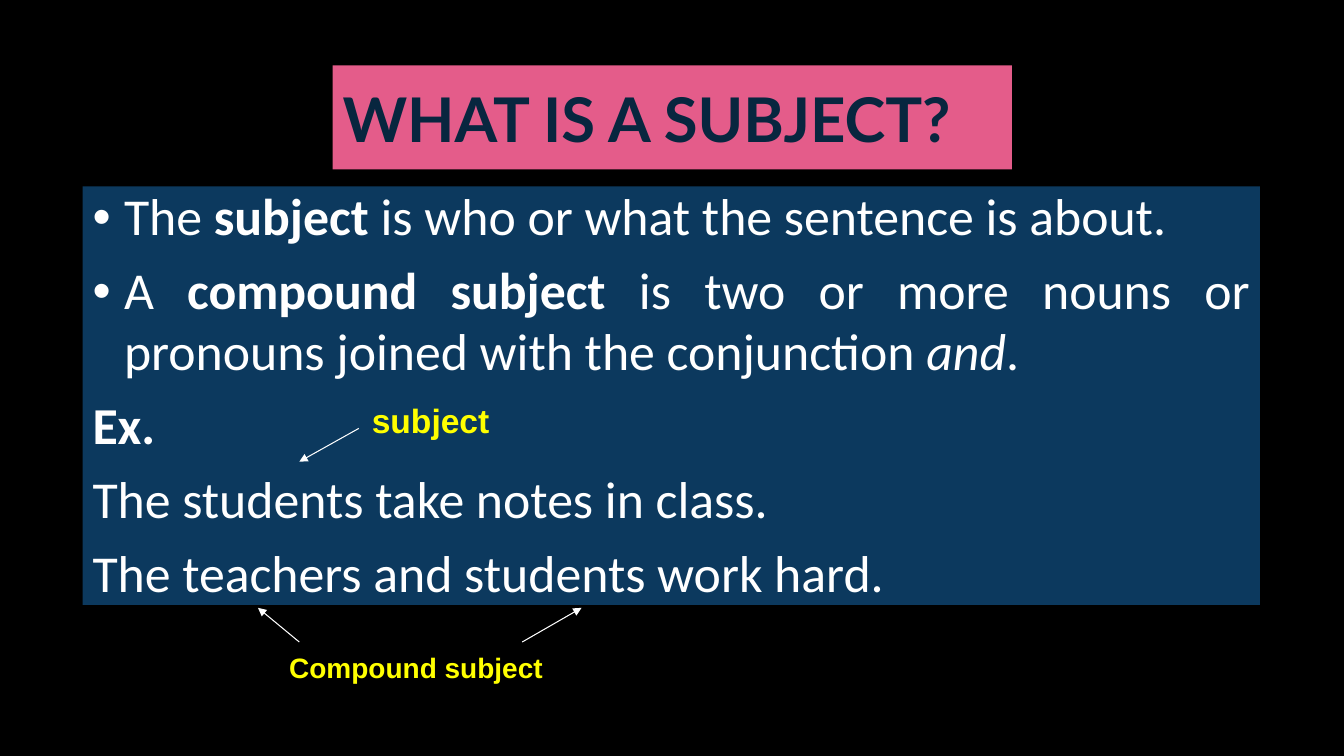
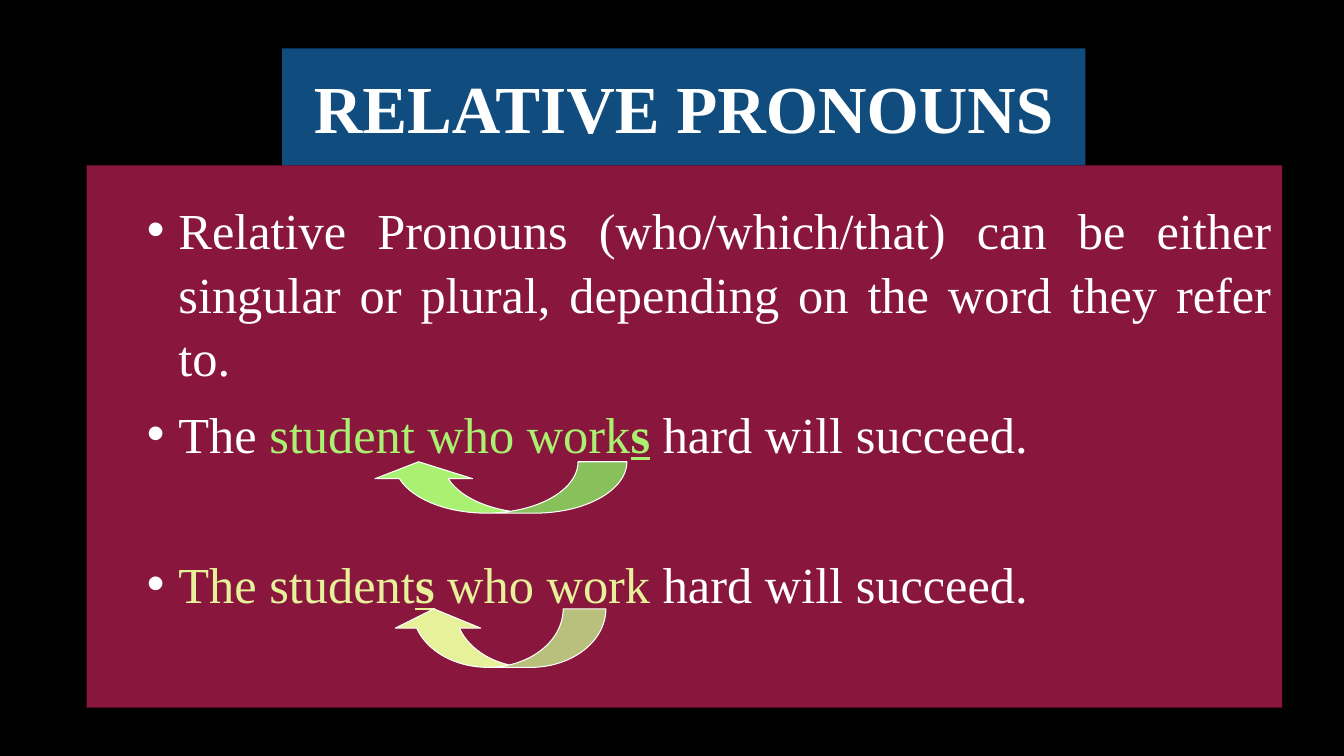
from lxml import etree
from pptx import Presentation
from pptx.dml.color import RGBColor
from pptx.enum import shapes, text
from pptx.oxml import ns
from pptx.util import Pt

COLORS = {
    "black": "000000", "white": "FFFFFF", "pink": "E45C8A", "ink": "08263F",
    "navy": "0C395E", "blue": "104C7E", "wine": "89173D",
    "yellow": "FFFF00", "green": "AAF172", "cream": "E7F19A",
}
HANGING = 22.5
LINE_WIDTH = 0.75


def color(name):
    return RGBColor.from_string(COLORS[name])


def add_xml(parent, tag, **attributes):
    return etree.SubElement(parent, ns.qn(tag), attributes)


class Lesson:
    """Holds the deck, its style and the current page."""

    def __init__(self):
        self.deck = Presentation()
        self.deck.slide_width, self.deck.slide_height = Pt(960), Pt(540)
        self.page = None

    def new_page(self):
        self.page = self.deck.slides.add_slide(self.deck.slide_layouts[6])
        fill = self.page.background.fill
        fill.solid()
        fill.fore_color.rgb = color("black")

    def shape(self, kind, place, fill):
        shape = self.page.shapes.add_shape(kind, *map(Pt, place))
        shape.shadow.inherit = False
        shape.fill.solid()
        shape.fill.fore_color.rgb = color(fill)
        return shape

    def panel(self, place, fill, anchor=text.MSO_ANCHOR.MIDDLE):
        panel = self.shape(shapes.MSO_SHAPE.RECTANGLE, place, fill)
        panel.line.fill.background()
        panel.text_frame.word_wrap = True
        panel.text_frame.vertical_anchor = anchor
        return panel.text_frame

    def span(self, para, words, font, size, ink, style=""):
        """Add a run; style may hold b, i and u."""
        span = para.add_run()
        span.text = words
        span.font.name, span.font.size = font, Pt(size)
        span.font.color.rgb = color(ink)
        span.font.bold = "b" in style
        span.font.italic = "i" in style
        span.font.underline = "u" in style

    def title(self, words, place, fill, font, size, ink, align):
        para = self.panel(place, fill).paragraphs[0]
        para.alignment = align
        self.span(para, words, font, size, ink, "b")

    def body(self, frame, paragraphs, font, size, spacing, left=HANGING):
        """Fill a frame from (bulleted, space after, spans) entries."""
        for index, (bulleted, after, spans) in enumerate(paragraphs):
            para = frame.add_paragraph() if index else frame.paragraphs[0]
            para.alignment = text.PP_ALIGN.JUSTIFY
            para.line_spacing, para.space_after = spacing, Pt(after)
            props = para._p.get_or_add_pPr()
            props.set("marL", str(Pt(left)))
            props.set("indent", str(-Pt(HANGING)))
            if bulleted:
                tint = add_xml(props, "a:buClr")
                add_xml(tint, "a:srgbClr", val=COLORS["white"])
                add_xml(props, "a:buFont", typeface="Arial")
                add_xml(props, "a:buChar", char="•")
            for words, ink, style in spans:
                self.span(para, words, font, size, ink, style)

    def label(self, words, place, size, wrap):
        box = self.page.shapes.add_textbox(*map(Pt, place))
        box.text_frame.word_wrap = wrap
        self.span(box.text_frame.paragraphs[0], words, "Arial", size, "yellow", "b")

    def pointer(self, *ends):
        line = self.page.shapes.add_connector(
            shapes.MSO_CONNECTOR.STRAIGHT, *map(Pt, ends))
        line.line.color.rgb = color("white")
        line.line.width = Pt(LINE_WIDTH)
        add_xml(line.line._get_or_add_ln(), "a:tailEnd", type="triangle")
        add_xml(line._element.spPr, "a:effectLst")

    def curved_arrow(self, place, fill, adjustments):
        """Draw an upward curved arrow that points back to the left."""
        arrow = self.shape(shapes.MSO_SHAPE.CURVED_UP_ARROW, place, fill)
        arrow.line.color.rgb = color("white")
        arrow.line.width = Pt(LINE_WIDTH)
        for index, value in enumerate(adjustments):
            arrow.adjustments[index] = value
        arrow._element.spPr.find(ns.qn("a:xfrm")).set("flipH", "1")


def subject_page(lesson):
    lesson.new_page()
    lesson.title("WHAT IS A SUBJECT?", (237.6, 46.8, 485.3, 74.2), "pink",
                 "Lato", 44, "ink", text.PP_ALIGN.LEFT)
    gap = 9.5
    lesson.body(lesson.panel((59, 133.2, 841, 298.8), "navy"), [
        (True, gap, [("The ", "white", ""), ("subject", "white", "b"),
                     (" is who or what the sentence is about.", "white", "")]),
        (True, gap, [("A ", "white", ""), ("compound subject", "white", "b"),
                     (" is two or more nouns or pronouns joined with the conjunction ",
                      "white", ""),
                     ("and", "white", "i"), (".", "white", "")]),
        (False, gap, [("Ex.", "white", "b")]),
        (False, gap, [("The students take notes in class.", "white", "")]),
        (False, 0, [("The teachers and students work hard.", "white", "")]),
    ], "Calibri", 37, 0.98)
    lesson.pointer(256.3, 306, 213.8, 329.8)
    lesson.label("subject", (258.5, 282.2, 99.4, 36), 24, False)
    lesson.pointer(213.8, 458.6, 184.3, 434.2)
    lesson.pointer(373, 458.6, 415.4, 434.2)
    lesson.label("Compound subject", (199.4, 460.8, 216, 31.7), 20, True)


def pronoun_page(lesson):
    lesson.new_page()
    lesson.title("RELATIVE PRONOUNS", (201.6, 34.6, 573.8, 83.5), "blue",
                 "Times New Roman", 48, "white", text.PP_ALIGN.CENTER)
    frame = lesson.panel((61.9, 118.1, 853.9, 387.4), "wine", text.MSO_ANCHOR.TOP)
    frame.margin_top = Pt(22)
    ending = (" hard will succeed.", "white", "")
    lesson.body(frame, [
        (True, 9.3, [("Relative Pronouns (who/which/that) can be either singular or "
                      "plural, depending on the word they refer to.", "white", "")]),
        (True, 62, [("The ", "white", ""), ("student who work", "green", ""),
                    ("s", "green", "bu"), ending]),
        (True, 0, [("The student", "cream", ""), ("s", "cream", "bu"),
                   (" who work", "cream", ""), ending]),
    ], "Times New Roman", 36, 1.05, left=58.5)
    lesson.curved_arrow((264.2, 329.8, 183.6, 36.7), "green", (0.95, 1.9, 0.33))
    lesson.curved_arrow((279.4, 434.9, 153.4, 41.8), "cream", (0.73, 1.46, 0.33))


def main():
    lesson = Lesson()
    subject_page(lesson)
    pronoun_page(lesson)
    lesson.deck.save("out.pptx")


if __name__ == "__main__":
    main()
